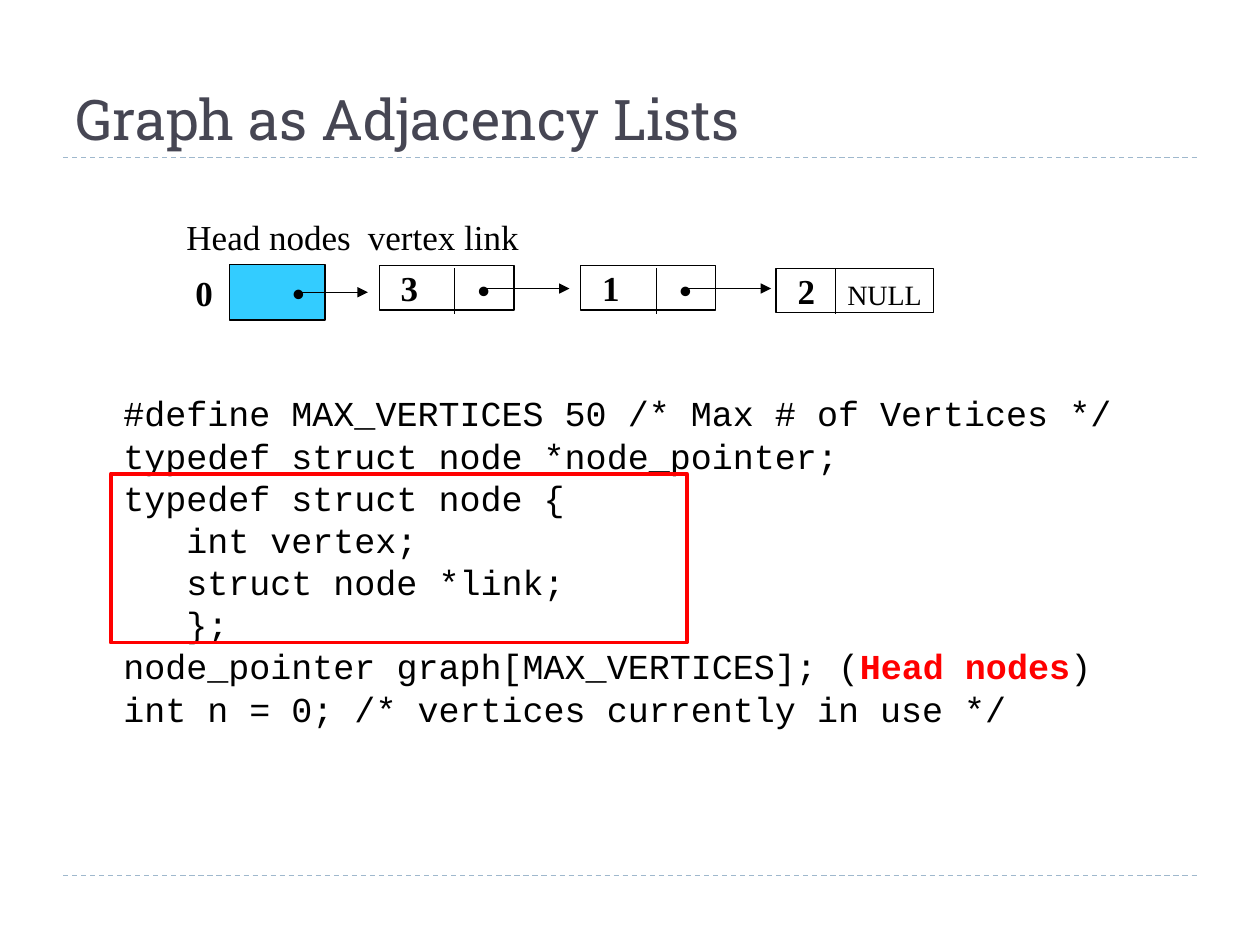
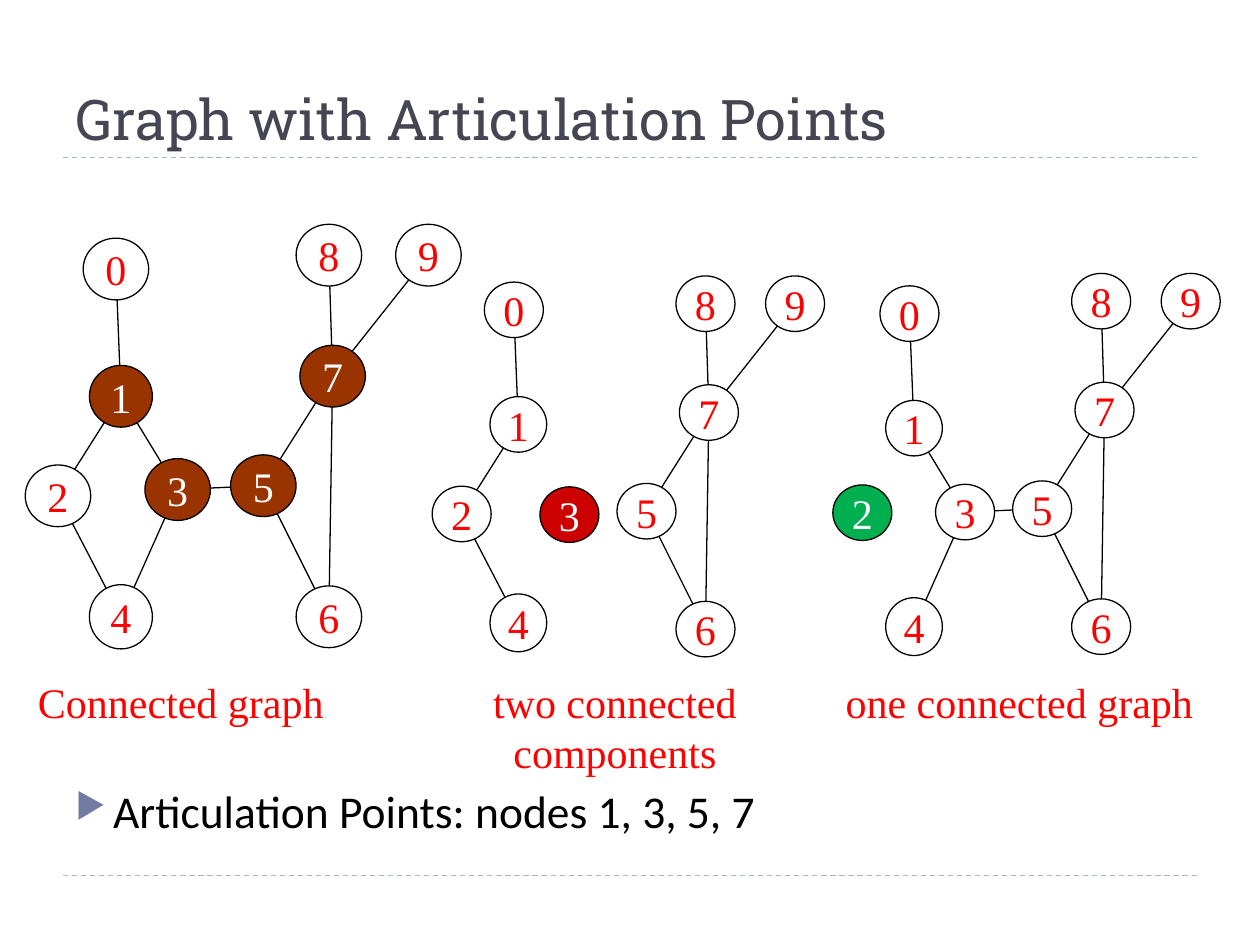
from lxml import etree
from pptx import Presentation
from pptx.dml.color import RGBColor
from pptx.enum import dml, shapes, text
from pptx.oxml.ns import qn
from pptx.util import Inches, Pt

BLACK, WHITE, RED = "000000", "FFFFFF", "FF0000"
TITLE, RULE, BULLET = "464653", "9FB8CD", "727CA3"
HEAD, BROWN, DARK_RED, GREEN = "33CCFF", "993300", "CC0000", "00B050"
SERIF, MONO, SANS, SLAB = "Times New Roman", "Courier New", "Calibri", "Roboto Slab"
LEFT, CENTER = text.PP_ALIGN.LEFT, text.PP_ALIGN.CENTER
TOP, MIDDLE, BOTTOM = (text.MSO_ANCHOR.TOP, text.MSO_ANCHOR.MIDDLE,
                       text.MSO_ANCHOR.BOTTOM)

CODE = """#define MAX_VERTICES 50 /* Max # of Vertices */
typedef struct node *node_pointer;
typedef struct node {
\tint vertex;
\tstruct node *link;
\t};
node_pointer graph[MAX_VERTICES]; (Head nodes)
int n = 0; /* vertices currently in use */"""

# Vertex ellipses at full scale: left, top, width, height in the graph's box
VERTICES = {
    0: (0.46, 0.11, 0.52, 0.49), 1: (0.51, 1.12, 0.5, 0.49),
    2: (0, 1.91, 0.52, 0.49), 3: (0.95, 1.86, 0.52, 0.49),
    4: (0.51, 2.86, 0.5, 0.51), 5: (1.63, 1.83, 0.52, 0.49),
    6: (2.15, 2.87, 0.52, 0.49), 7: (2.18, 0.96, 0.52, 0.49),
    8: (2.15, 0, 0.52, 0.49), 9: (2.94, 0, 0.52, 0.49),
}
EDGES = [(0, 1), (1, 2), (1, 3), (2, 4), (3, 4), (3, 5),
         (5, 6), (5, 7), (6, 7), (7, 8), (7, 9)]


def color(value):
    return RGBColor.from_string(value)


def set_font(font, name, size, fill, bold=False):
    font.name, font.size, font.bold = name, Pt(size), bold
    font.color.rgb = color(fill)


def set_frame(tf, anchor, inset=0.0, wrap=True):
    tf.word_wrap, tf.vertical_anchor = wrap, anchor
    tf.margin_left = tf.margin_right = Inches(inset)
    tf.margin_top = tf.margin_bottom = Inches(inset / 2)


def add_text(s, x, y, w, h, content, name, size, fill=BLACK, bold=False,
             align=LEFT, anchor=MIDDLE, inset=0.0):
    tf = s.shapes.add_textbox(Inches(x), Inches(y), Inches(w), Inches(h)).text_frame
    set_frame(tf, anchor, inset)
    tf.text = content
    for p in tf.paragraphs:
        p.alignment = align
        set_font(p.font, name, size, fill, bold)
    return tf


def add_outline(s, kind, x, y, w, h, fill=None, line=BLACK, width=0.75):
    sp = s.shapes.add_shape(kind, Inches(x), Inches(y), Inches(w), Inches(h))
    sp.shadow.inherit = False
    if fill:
        sp.fill.solid()
        sp.fill.fore_color.rgb = color(fill)
    else:
        sp.fill.background()
    sp.line.color.rgb = color(line)
    sp.line.width = Pt(width)
    return sp


def add_line(s, x1, y1, x2, y2, fill=BLACK, dashed=False, arrow=False):
    c = s.shapes.add_connector(shapes.MSO_CONNECTOR.STRAIGHT,
                               Inches(x1), Inches(y1), Inches(x2), Inches(y2))
    c.line.color.rgb = color(fill)
    c.line.width = Pt(0.75)
    if dashed:
        c.line.dash_style = dml.MSO_LINE.DASH
    props = c._element.spPr
    if arrow:
        etree.SubElement(props.find(qn("a:ln")), qn("a:tailEnd"), type="triangle")
    etree.SubElement(props, qn("a:effectLst"))


def add_slide(prs, title):
    """Add a blank slide with the shared title and dashed rules."""
    s = prs.slides.add_slide(prs.slide_layouts[6])
    for y in (6.95, 1.25):
        add_line(s, 0.5, y, 9.5, y, RULE, dashed=True)
    add_text(s, 0.5, 0.17, 9, 1.08, title, SLAB, 32, TITLE, anchor=BOTTOM, inset=0.1)
    return s


def add_pointer(s, x, y, length):
    """Draw a dot centred at x, y and the arrow leaving it."""
    add_text(s, x - 0.15, y - 0.17, 0.3, 0.35, "•", SERIF, 20, bold=True, align=CENTER)
    add_line(s, x, y, x + length, y, arrow=True)


def add_list_node(s, x, y, w, split, vertex, last=False):
    """Draw a vertex cell and a link cell, parted at split."""
    sp = add_outline(s, shapes.MSO_SHAPE.RECTANGLE, x, y, w, 0.35)
    tf = sp.text_frame
    set_frame(tf, MIDDLE)
    tf.margin_left = Inches(0.17)
    p = tf.paragraphs[0]
    p.text, p.alignment = vertex, LEFT
    set_font(p.font, SERIF, 20, BLACK, True)
    add_line(s, x + split, 2.13, x + split, 2.49)
    if last:
        add_text(s, x + split, y + 0.03, w - split, 0.35, "NULL", SERIF, 16, align=CENTER)
    else:
        add_pointer(s, x + 0.83, y + 0.18, 0.68)


def add_adjacency_list(s, x, y):
    for dx, label in ((0.1, "Head nodes"), (1.54, "vertex link")):
        add_text(s, x + dx, y, 1.4, 0.44, label, SERIF, 20)
    add_text(s, x + 0.08, y + 0.46, 0.32, 0.41, "0", SERIF, 20, bold=True, align=CENTER)
    add_outline(s, shapes.MSO_SHAPE.RECTANGLE, x + 0.44, y + 0.44, 0.76, 0.44, HEAD)
    add_pointer(s, x + 0.99, y + 0.66, 0.55)
    for i, vertex in enumerate("31"):
        add_list_node(s, x + 1.63 + 1.6 * i, y + 0.45, 1.07, 0.6, vertex)
    add_list_node(s, x + 4.78, y + 0.47, 1.25, 0.47, "2", last=True)


def add_code(s, x, y):
    tf = add_text(s, x, y, 8.25, 2.79, CODE, MONO, 20, anchor=TOP, inset=0.1)
    for p in tf.paragraphs:
        p.line_spacing = Pt(24.1)
    p = tf.paragraphs[6]
    before, after = p.text.split("Head nodes")
    p.runs[0].text = before
    r = p.add_run()
    r.text = "Head nodes"
    r.font.bold = True
    r.font.color.rgb = color(RED)
    p.add_run().text = after
    add_outline(s, shapes.MSO_SHAPE.RECTANGLE, x, y + 0.7, 4.57, 1.34, line=RED, width=2.25)


def add_graph(s, x, y, scale=1.0, fills=None, removed=None, moves=None):
    """Draw the graph without the removed vertex's edges; moves nudge vertices."""
    fills, moves = fills or {}, moves or {}
    boxes = {}
    for v, (left, top, w, h) in VERTICES.items():
        dx, dy = moves.get(v, (0, 0))
        boxes[v] = (x + left * scale + dx, y + top * scale + dy, w * scale, h * scale)
    centers = {v: (bx + w / 2, by + h / 2) for v, (bx, by, w, h) in boxes.items()}
    for a, b in EDGES:
        if removed not in (a, b):
            add_line(s, *centers[a], *centers[b])
    for v, box in boxes.items():
        sp = add_outline(s, shapes.MSO_SHAPE.OVAL, *box, fills.get(v, WHITE))
        set_frame(sp.text_frame, MIDDLE, wrap=False)
        p = sp.text_frame.paragraphs[0]
        p.text, p.alignment = str(v), CENTER
        set_font(p.font, SERIF, 24, WHITE if v in fills else RED)


def add_bullet(s, x, y, content):
    tf = add_text(s, x, y, 9, 0.48, "", SANS, 26, anchor=TOP, inset=0.1)
    p = tf.paragraphs[0]
    p.text = content
    p.line_spacing = 0.8
    props = p._p.get_or_add_pPr()
    props.set("marL", str(Inches(0.3)))
    props.set("indent", str(-Inches(0.3)))
    for old in props.findall(qn("a:defRPr")):
        props.remove(old)
    fill = etree.SubElement(props, qn("a:buClr"))
    etree.SubElement(fill, qn("a:srgbClr"), val=BULLET)
    etree.SubElement(props, qn("a:buSzPct"), val="76000")
    etree.SubElement(props, qn("a:buChar"), char="▶")
    set_font(p.font, SANS, 26, BLACK)


def adjacency_slide(prs):
    s = add_slide(prs, "Graph as Adjacency Lists")
    add_adjacency_list(s, 1.38, 1.66)
    add_code(s, 0.88, 3.06)


def articulation_slide(prs):
    s = add_slide(prs, "Graph with Articulation Points")
    add_graph(s, 0.2, 1.78, fills=dict.fromkeys((1, 3, 5, 7), BROWN))
    lifted = dict.fromkeys((0, 1, 2, 4), (0, -0.05))
    add_graph(s, 3.43, 2.19, 0.9, {3: DARK_RED}, removed=3, moves=lifted)
    add_graph(s, 6.57, 2.17, 0.9, {2: GREEN}, removed=2, moves={2: (0.04, -0.04)})
    for x, w, h, caption in ((0.2, 2.47, 0.5, "Connected graph"),
                             (3.77, 2.22, 0.9, "two connected\vcomponents"),
                             (6.61, 2.96, 0.5, "one connected graph")):
        add_text(s, x, 5.32, w, h, caption, SERIF, 24, RED, align=CENTER)
    add_bullet(s, 0.5, 6.25, "Articulation Points: nodes 1, 3, 5, 7")


def main():
    prs = Presentation()
    prs.slide_width, prs.slide_height = Inches(10), Inches(7.5)
    adjacency_slide(prs)
    articulation_slide(prs)
    prs.save("out.pptx")


if __name__ == "__main__":
    main()
